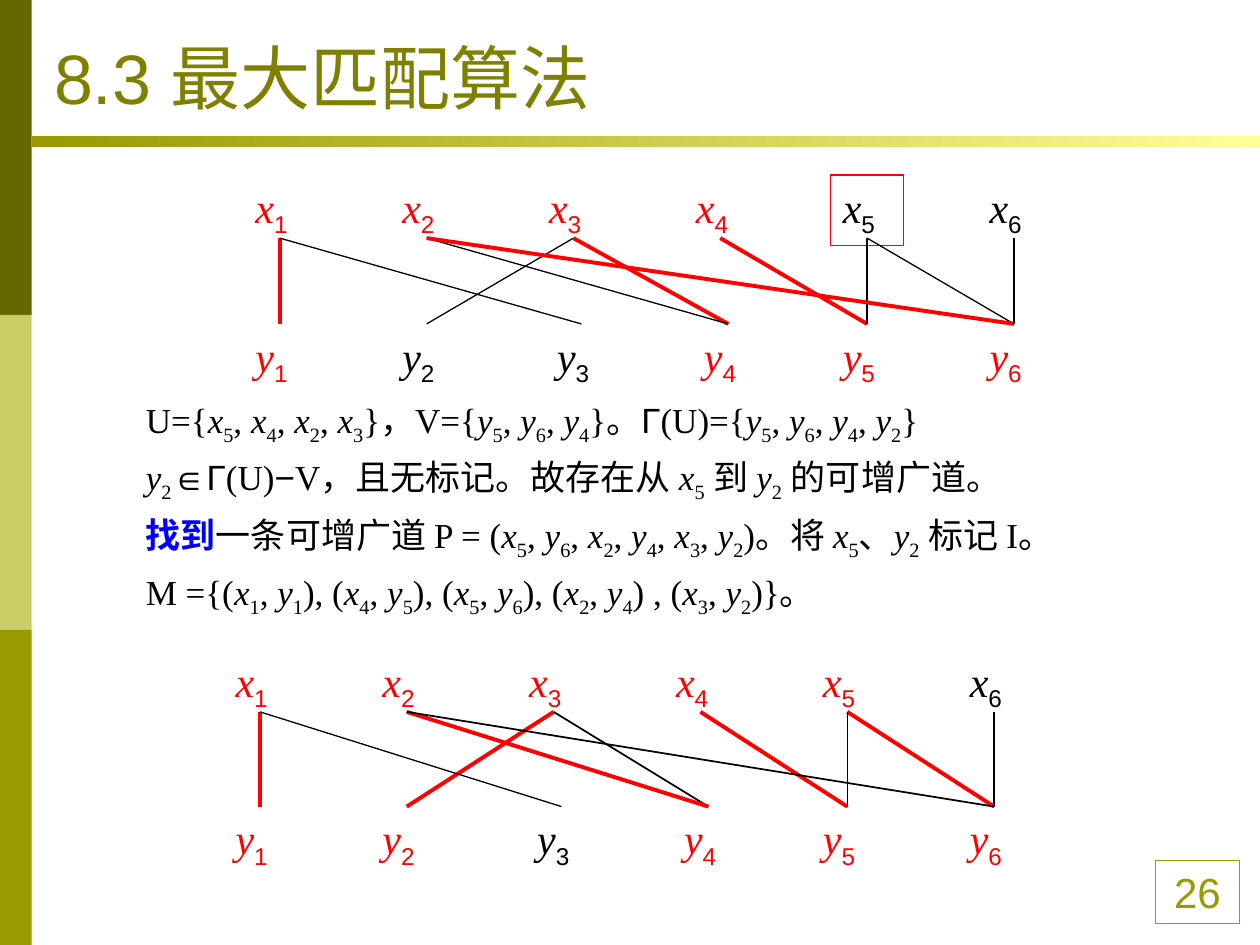
"""Build the slide on the maximum matching algorithm."""
from dataclasses import dataclass
from itertools import groupby
from typing import Any, NamedTuple, Optional

from lxml import etree
from pptx import Presentation
from pptx.dml.color import RGBColor
from pptx.enum.shapes import MSO_CONNECTOR, MSO_SHAPE
from pptx.enum.text import MSO_ANCHOR, PP_ALIGN
from pptx.oxml.ns import qn
from pptx.util import Cm, Pt

RECT, STRAIGHT = MSO_SHAPE.RECTANGLE, MSO_CONNECTOR.STRAIGHT
TOP, BOTTOM = MSO_ANCHOR.TOP, MSO_ANCHOR.BOTTOM
LEFT, CENTER = PP_ALIGN.LEFT, PP_ALIGN.CENTER
TOP_SIDE = 0


@dataclass(frozen=True)
class Theme:
    """Colours, fonts, type sizes and line widths."""
    olive: RGBColor = RGBColor(0x99, 0x99, 0x00)
    dark: RGBColor = RGBColor(0x66, 0x66, 0x00)
    pale: RGBColor = RGBColor(0xCC, 0xCC, 0x66)
    cream: RGBColor = RGBColor(0xFF, 0xFF, 0x99)
    title: RGBColor = RGBColor(0x80, 0x80, 0x00)
    red: RGBColor = RGBColor(0xFF, 0x00, 0x00)
    blue: RGBColor = RGBColor(0x00, 0x00, 0xFF)
    black: RGBColor = RGBColor(0x00, 0x00, 0x00)
    sans: str = "Arial"
    serif: str = "Times New Roman"
    title_size: float = 40
    label_size: float = 24
    body_size: float = 20
    thin: float = 0.75
    medium: float = 1
    thick: float = 2.25


T = Theme()
STROKES = {"match": (T.red, T.thick), "free": (T.black, T.thin), "dropped": (T.black, T.medium)}
STYLES = {
    "plain": {"name": T.serif},
    "variable": {"name": T.serif, "italic": True},
    "index": {"name": T.serif},
    "symbol": {"name": T.sans},
    "strong": {"name": T.serif, "bold": True},
}


class Box(NamedTuple):
    """Place and size in centimetres."""
    left: float
    top: float
    width: float
    height: float


class Edge(NamedTuple):
    """Edge from an x vertex to a y vertex."""
    x: int
    y: int
    kind: str


class Graph(NamedTuple):
    """Bipartite graph with its red vertices and an optional framed one."""
    left: float
    x_top: float
    y_top: float
    marked: str
    framed: str
    edges: list[Edge]


class Line(NamedTuple):
    """Body line with an optional highlighted lead."""
    text: str
    lead: str = ""


VERTICES, PITCH, LABEL_W, LABEL_H = range(1, 7), 2.96, 1.48, 1.42
EDGE_DROP = 1.27
Y_SHIFT = {3: 0.16, 4: 0.16}
BANDS = [T.dark, T.pale, T.olive]

GRAPHS = [
    Graph(4.9, 3.53, 6.53, "x1 x2 x3 x4 y1 y4 y5 y6", "x5", [
        Edge(3, 2, "free"), Edge(5, 6, "free"), Edge(1, 1, "match"), Edge(1, 3, "free"),
        Edge(3, 4, "match"), Edge(2, 4, "free"), Edge(4, 5, "match"), Edge(5, 5, "free"),
        Edge(2, 6, "match"), Edge(6, 6, "free")]),
    Graph(4.5, 13.08, 16.26, "x1 x2 x3 x4 x5 y1 y2 y4 y5 y6", "", [
        Edge(3, 2, "match"), Edge(5, 6, "match"), Edge(1, 1, "match"), Edge(1, 3, "free"),
        Edge(3, 4, "dropped"), Edge(2, 4, "match"), Edge(4, 5, "match"), Edge(5, 5, "free"),
        Edge(2, 6, "dropped"), Edge(6, 6, "free")]),
]

BODY = [
    Line("U={x5, x4, x2, x3}，V={y5, y6, y4}。Γ(U)={y5, y6, y4, y2}"),
    Line("y2∈Γ(U)−V，且无标记。故存在从 x5 到 y2 的可增广道。"),
    Line("一条可增广道 P = (x5, y6, x2, y4, x3, y2)。将 x5、y2 标记 I。", "找到"),
    Line("M ={(x1, y1), (x4, y5), (x5, y6), (x2, y4) , (x3, y2)}。"),
]


def add_box(s: Any, box: Box, fill: Optional[RGBColor] = None,
            line: Optional[RGBColor] = None) -> Any:
    """Add a rectangle, or a text box when it has neither fill nor line."""
    place = [Cm(v) for v in box]
    if fill is None and line is None:
        sp = s.shapes.add_textbox(*place)
    else:
        sp = s.shapes.add_shape(RECT, *place)
        sp.shadow.inherit = False
        if fill is None:
            sp.fill.background()
        else:
            sp.fill.solid()
            sp.fill.fore_color.rgb = fill
        if line is None:
            sp.line.fill.background()
        else:
            sp.line.color.rgb = line
            sp.line.width = Pt(T.thin)
    tf = sp.text_frame
    tf.word_wrap = True
    tf.vertical_anchor = TOP
    tf.paragraphs[0].alignment = LEFT
    return sp


def add_run(p: Any, text: str, style: str, size: float, color: RGBColor, **extra: Any) -> None:
    """Add a run in a named style, with indexes set as subscripts."""
    r = p.add_run()
    r.text = text
    for key, value in {"size": Pt(size), **STYLES[style], **extra}.items():
        setattr(r.font, key, value)
    r.font.color.rgb = color
    if style == "index":
        r.font._element.set("baseline", "-25000")


def char_style(char: str) -> str:
    """Name the style of one character of mathematical text."""
    if char in "xy":
        return "variable"
    if char in "0123456789":
        return "index"
    return "symbol" if char in "∈Γ−" else "plain"


def add_frame(s: Any) -> None:
    """Draw the side bands, the title with its rule and the page number."""
    for i, color in enumerate(BANDS):
        add_box(s, Box(0, 6.35 * i, 0.64, 6.35), fill=color)
    rule = add_box(s, Box(0.64, 2.74, 24.76, 0.23), fill=T.olive)
    rule.fill.gradient()
    rule.fill.gradient_angle = 180
    for stop, color in zip(rule.fill.gradient_stops, (T.cream, T.olive)):
        stop.color.rgb = color
    tf = add_box(s, Box(0.84, 0.33, 22.86, 2.18)).text_frame
    tf.vertical_anchor = BOTTOM
    add_run(tf.paragraphs[0], "8.3 最大匹配算法", "symbol", T.title_size, T.title)
    p = add_box(s, Box(23.29, 17.35, 1.7, 1.27), line=T.olive).text_frame.paragraphs[0]
    p.alignment = CENTER
    add_run(p, "26", "symbol", T.label_size, T.olive)


def add_body(s: Any) -> None:
    """Write the derivation between the two graphs."""
    tf = add_box(s, Box(0.99, 7.72, 23.95, 4.8)).text_frame
    tf.margin_left = Cm(1.95)
    for i, line in enumerate(BODY):
        p = tf.add_paragraph() if i else tf.paragraphs[0]
        p.line_spacing = 1.2
        if line.lead:
            add_run(p, line.lead, "strong", T.body_size, T.blue)
        for style, chars in groupby(line.text, char_style):
            add_run(p, "".join(chars), style, T.body_size, T.black)


def add_graph(s: Any, graph: Graph) -> None:
    """Draw the vertex labels and the edges of one graph."""
    labels = {}
    for row, top in (("x", graph.x_top), ("y", graph.y_top)):
        for n in VERTICES:
            name = f"{row}{n}"
            left = graph.left + PITCH * (n - 1) + (Y_SHIFT.get(n, 0) if row == "y" else 0)
            sp = add_box(s, Box(left, top, LABEL_W, LABEL_H),
                         line=T.red if name == graph.framed else None)
            color = T.red if name in graph.marked else T.black
            p = sp.text_frame.paragraphs[0]
            add_run(p, row, "variable", T.label_size, color)
            add_run(p, str(n), "index", T.label_size, color, name=T.sans)
            labels[name] = sp
    for edge in graph.edges:
        start, end = labels[f"x{edge.x}"], labels[f"y{edge.y}"]
        line = s.shapes.add_connector(STRAIGHT, start.left + start.width // 2,
                                      Cm(graph.x_top + EDGE_DROP),
                                      end.left + end.width // 2, end.top)
        line.end_connect(end, TOP_SIDE)
        color, width = STROKES[edge.kind]
        line.line.color.rgb = color
        line.line.width = Pt(width)
        etree.SubElement(line._element.spPr, qn("a:effectLst"))


def main() -> None:
    """Build and save the presentation."""
    prs = Presentation()
    prs.slide_width, prs.slide_height = Cm(25.4), Cm(19.05)
    s = prs.slides.add_slide(prs.slide_layouts[6])
    add_frame(s)
    add_body(s)
    for graph in reversed(GRAPHS):
        add_graph(s, graph)
    prs.save("out.pptx")


if __name__ == "__main__":
    main()
